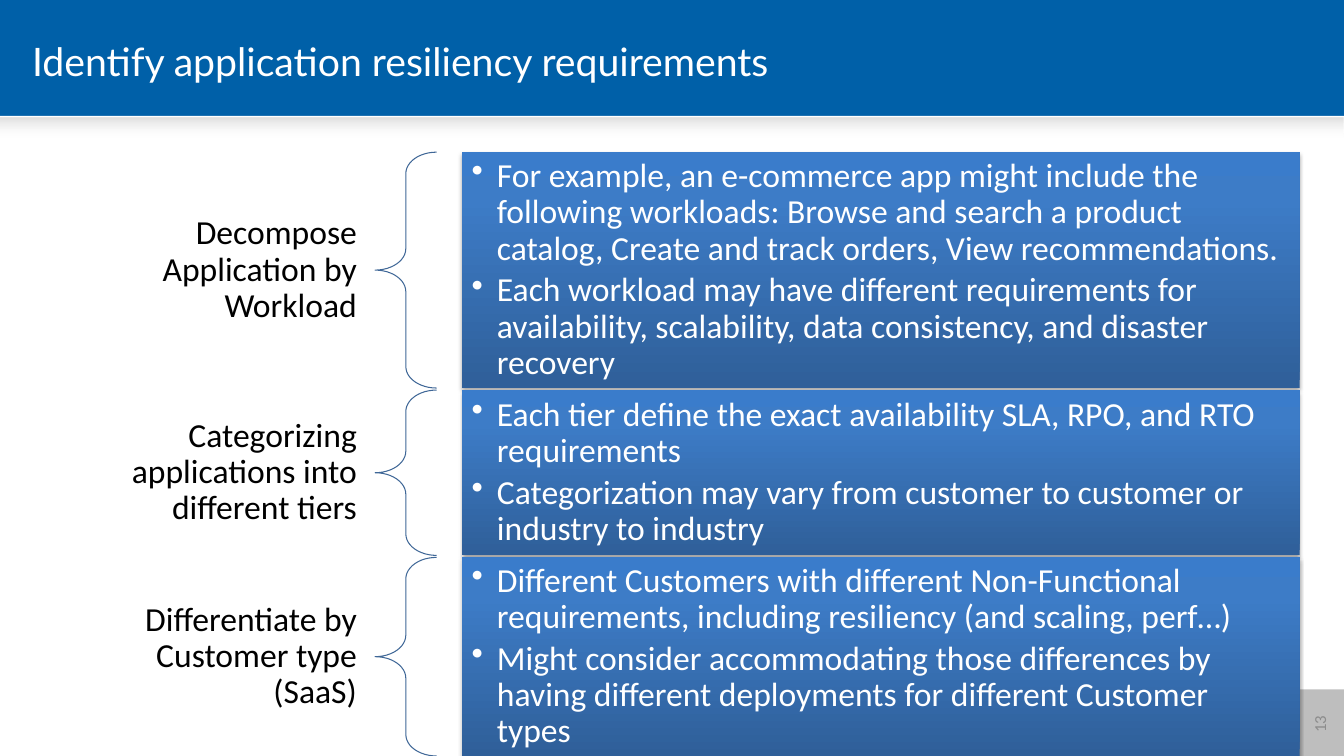
from pptx import Presentation
from pptx.dml.color import RGBColor
from pptx.enum.shapes import MSO_SHAPE as Shape
from pptx.enum.text import MSO_ANCHOR as Anchor, PP_ALIGN as Align
from pptx.oxml import parse_xml
from pptx.oxml.ns import nsdecls, qn
from pptx.util import Inches, Pt

COLORS = {
    "blue": "0060A8", "white": "FFFFFF", "black": "000000", "mist": "E3E3E3",
    "gray": "7F7F7F", "number": "8C8C8C", "brace": "3F6797",
    "deep": "2F5F99", "mid": "3D7CC7", "light": "3A7CCB",
}
PANEL_STOPS = [(0, "deep", 100), (80, "mid", 100), (100, "light", 100)]
BAND_STOPS = [(0, "black", 13), (48, "mist", 0), (66, "white", 0)]

deck = Presentation()
deck.slide_width, deck.slide_height = Inches(13.33), Inches(7.5)
page = deck.slides.add_slide(deck.slide_layouts[6])
page.background.fill.solid()
page.background.fill.fore_color.rgb = RGBColor.from_string(COLORS["blue"])


def add_block(kind, left, top, width, height, fill=None, stops=None, angle=0):
    """Add a shape without outline or shadow, with a plain, gradient or no fill."""
    block = page.shapes.add_shape(
        kind, Inches(left), Inches(top), Inches(width), Inches(height))
    block.shadow.inherit = False
    block.line.fill.background()
    block.fill.background()
    if fill:
        block.fill.solid()
        block.fill.fore_color.rgb = RGBColor.from_string(COLORS[fill])
    if stops:
        marks = "".join(
            f'<a:gs pos="{place * 1000}"><a:srgbClr val="{COLORS[color]}">'
            f'<a:alpha val="{alpha * 1000}"/></a:srgbClr></a:gs>'
            for place, color, alpha in stops)
        gradient = parse_xml(
            f'<a:gradFill {nsdecls("a")} rotWithShape="1"><a:gsLst>{marks}</a:gsLst>'
            f'<a:lin ang="{angle * 60000}" scaled="0"/></a:gradFill>')
        properties = block.element.spPr
        properties.replace(properties.find(qn("a:noFill")), gradient)
    return block


def write(box, texts, size, color, font="Calibri", align=Align.LEFT,
          inset=(0.1, 0.05), spacing=1.0, after=0, bullet=False):
    """Fill a box with one paragraph for each text."""
    frame = box.text_frame
    side, edge = map(Inches, inset)
    layout = {"word_wrap": True, "vertical_anchor": Anchor.MIDDLE,
              "margin_left": side, "margin_right": side,
              "margin_top": edge, "margin_bottom": edge}
    for name, value in layout.items():
        setattr(frame, name, value)
    for index, text in enumerate(texts):
        para = frame.add_paragraph() if index else frame.paragraphs[0]
        para.alignment = align
        para.line_spacing = spacing
        para.space_after = Pt(after)
        if bullet:
            settings = para._p.get_or_add_pPr()
            settings.set("marL", str(Inches(0.25)))
            settings.set("indent", str(Inches(-0.25)))
            settings.append(parse_xml(f'<a:buChar {nsdecls("a")} char="•"/>'))
        span = para.add_run()
        span.text = text
        span.font.name, span.font.size = font, Pt(size)
        span.font.color.rgb = RGBColor.from_string(COLORS[color])


# White body, soft band under the header, page number tab
add_block(Shape.RECTANGLE, 0, 1.15, 13.33, 6.36, fill="white")
add_block(Shape.RECTANGLE, 0, 1.17, 13.33, 0.42, stops=BAND_STOPS, angle=90)
tab = add_block(Shape.RECTANGLE, 12.74, 6.94, 0.69, 0.49, fill="gray")
tab.rotation = 270
tab.element.spPr.find(qn("a:solidFill"))[0].append(
    parse_xml(f'<a:alpha {nsdecls("a")} val="50000"/>'))
write(tab, ["13"], 12, "number", align=Align.CENTER)

# Title
title = page.shapes.add_textbox(Inches(0.22), Inches(0.17), Inches(11.35), Inches(0.87))
write(title, ["Identify application resiliency requirements"], 28, "white", font="Lato")

# Requirement rows: label, height, points
ROWS = [
    ("Decompose Application by Workload", 2.34, [
        "For example, an e-commerce app might include the following workloads: "
        "Browse and search a product catalog, Create and track orders, "
        "View recommendations.",
        "Each workload may have different requirements for availability, "
        "scalability, data consistency, and disaster recovery"]),
    ("Categorizing applications into different tiers", 1.64, [
        "Each tier define the exact availability SLA, RPO, and RTO requirements",
        "Categorization may vary from customer to customer or industry to industry"]),
    ("Differentiate by Customer type (SaaS)", 1.97, [
        "Different Customers with different Non-Functional requirements, "
        "including resiliency (and scaling, perf…)",
        "Might consider accommodating those differences by having different "
        "deployments for different Customer types"]),
]
LABEL_HEIGHT, ROW_GAP = 1.17, 0.02
top = 1.51
for label, height, points in ROWS:
    label_top = top + (height - LABEL_HEIGHT) / 2
    box = page.shapes.add_textbox(
        Inches(0.67), Inches(label_top), Inches(3.06), Inches(LABEL_HEIGHT))
    write(box, [label], 24, "black", align=Align.RIGHT, inset=(0.19, 0.07), spacing=0.9)

    brace = add_block(Shape.LEFT_BRACE, 3.72, top, 0.61, height)
    brace.adjustments[0], brace.adjustments[1] = 0.35, 0.5
    brace.line.color.rgb = RGBColor.from_string(COLORS["brace"])
    brace.line.width = Pt(0.75)

    panel = add_block(Shape.RECTANGLE, 4.58, top, 8.31, height,
                      stops=PANEL_STOPS, angle=270)
    panel.element.spPr.find(qn("a:effectLst")).append(parse_xml(
        f'<a:outerShdw {nsdecls("a")} blurRad="{Pt(3.1)}" dist="{Pt(1.8)}" '
        f'dir="5400000" rotWithShape="0"><a:srgbClr val="{COLORS["black"]}">'
        '<a:alpha val="35000"/></a:srgbClr></a:outerShdw>'))
    write(panel, points, 24, "white", inset=(0.1, 0.1), spacing=0.9,
          after=4, bullet=True)
    top += height + ROW_GAP

deck.save("out.pptx")
